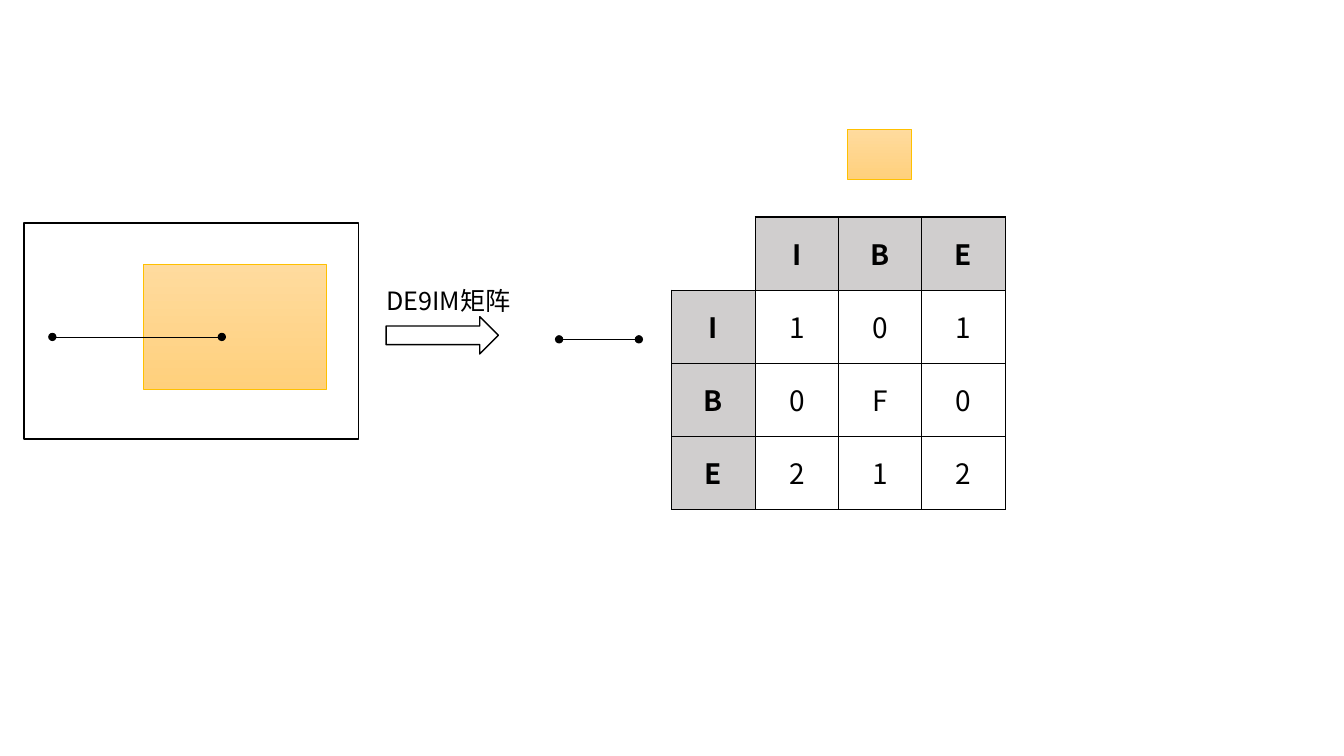
from lxml import etree
from pptx import Presentation
from pptx.dml.color import RGBColor
from pptx.enum.shapes import MSO_CONNECTOR, MSO_SHAPE
from pptx.enum.text import MSO_ANCHOR, MSO_AUTO_SIZE, PP_ALIGN
from pptx.oxml.ns import qn
from pptx.util import Cm, Pt

RECTANGLE, RIGHT_ARROW = MSO_SHAPE.RECTANGLE, MSO_SHAPE.RIGHT_ARROW
STRAIGHT = MSO_CONNECTOR.STRAIGHT
MIDDLE, CENTER = MSO_ANCHOR.MIDDLE, PP_ALIGN.CENTER
GROW = MSO_AUTO_SIZE.SHAPE_TO_FIT_TEXT
FONT = "Noto Sans CJK SC"
COLORS = {
    "ink": "000000",
    "paper": "FFFFFF",
    "header": "D0CECE",
    "region_top": "FFDB9E",
    "region_bottom": "FFD07C",
    "region_edge": "FFC000",
}
MATRIX = ["IBE", "101", "0F0", "212"]
ROW_LABELS = " IBE"
BLANK_LAYOUT = 6


def color(name):
    return RGBColor.from_string(COLORS[name])


def add_span(para, text, size, bold=False):
    span = para.add_run()
    span.text = text
    font = span.font
    font.name, font.size, font.bold = FONT, Pt(size), bold
    font.color.rgb = color("ink")
    etree.SubElement(span._r.get_or_add_rPr(), qn("a:ea"), typeface=FONT)


def add_outline(page, kind, left, top, width, height):
    """White preset shape with a black outline."""
    shape = page.shapes.add_shape(kind, Cm(left), Cm(top), Cm(width), Cm(height))
    shape.shadow.inherit = False
    shape.fill.solid()
    shape.fill.fore_color.rgb = color("paper")
    shape.line.color.rgb = color("ink")
    shape.line.width = Pt(1)
    return shape


def add_region(page, left, top, width, height):
    """Orange polygon of the spatial relation."""
    region = add_outline(page, RECTANGLE, left, top, width, height)
    region.fill.gradient()
    region.fill.gradient_angle = 270
    for stop, name in zip(region.fill.gradient_stops, ("region_top", "region_bottom")):
        stop.color.rgb = color(name)
    region.line.color.rgb = color("region_edge")
    region.line.width = Pt(0.5)


def add_segment(page, left, top, length):
    """Horizontal line with a dot at each end."""
    segment = page.shapes.add_connector(
        STRAIGHT, Cm(left), Cm(top), Cm(left + length), Cm(top))
    segment.line.color.rgb = color("ink")
    segment.line.width = Pt(0.5)
    for end in ("a:headEnd", "a:tailEnd"):
        etree.SubElement(segment.line._get_or_add_ln(), qn(end), type="oval")
    etree.SubElement(segment._element.spPr, qn("a:effectLst"))


def add_scene(page, left, top, width, height):
    """Frame in which the line enters the polygon."""
    add_outline(page, RECTANGLE, left, top, width, height)
    add_region(page, left + 3.01, top + 1.05, 4.6, 3.15)
    add_segment(page, left + 0.71, top + 2.87, 4.27)


def add_step(page, left, top, width, height):
    """Arrow with its caption above."""
    add_outline(page, RIGHT_ARROW, left, top + 0.92, width, 0.94)
    box = page.shapes.add_textbox(Cm(left - 0.24), Cm(top), Cm(4.6), Cm(height))
    frame = box.text_frame
    frame.word_wrap = True
    frame.auto_size = GROW
    add_span(frame.paragraphs[0], "DE9IM矩阵", 18)


def set_borders(cell, sides):
    for side in "LRTB":
        border = etree.SubElement(
            cell._tc.get_or_add_tcPr(), qn(f"a:ln{side}"), w=str(Pt(1)))
        if side in sides:
            fill = etree.SubElement(border, qn("a:solidFill"))
            etree.SubElement(fill, qn("a:srgbClr"), val=COLORS["ink"])
        else:
            etree.SubElement(border, qn("a:noFill"))


def add_matrix(page, left, top, width, height):
    """Intersection matrix with the two geometries as its axis labels."""
    add_region(page, left + 4.42, top - 2.21, 1.63, 1.26)
    add_segment(page, left - 2.84, top + 3.08, 2.01)
    size = len(MATRIX)
    table = page.shapes.add_table(
        size, size, Cm(left), Cm(top), Cm(width), Cm(height)).table
    table.first_row = table.horz_banding = False
    for index in range(size):
        table.columns[index].width = Cm(width / size)
        table.rows[index].height = Cm(height / size)
    for row, values in enumerate(MATRIX):
        for column, text in enumerate(ROW_LABELS[row] + values):
            cell = table.cell(row, column)
            corner = row == column == 0
            header = (row == 0 or column == 0) and not corner
            set_borders(cell, "RB" if corner else "LRTB")
            cell.fill.solid()
            cell.fill.fore_color.rgb = color("header" if header else "paper")
            cell.vertical_anchor = MIDDLE
            cell.margin_left = cell.margin_right = Cm(0.2)
            cell.margin_top = cell.margin_bottom = Cm(0.1)
            if not corner:
                para = cell.text_frame.paragraphs[0]
                para.alignment = CENTER
                add_span(para, text, 20, bold=header)


def main():
    deck = Presentation()
    deck.slide_width, deck.slide_height = Cm(33.87), Cm(19.05)
    page = deck.slides.add_slide(deck.slide_layouts[BLANK_LAYOUT])
    add_scene(page, 0.61, 5.62, 8.42, 5.44)
    add_step(page, 9.73, 7.06, 2.83, 1.02)
    add_matrix(page, 16.93, 5.47, 8.4, 7.36)
    deck.save("out.pptx")


if __name__ == "__main__":
    main()
